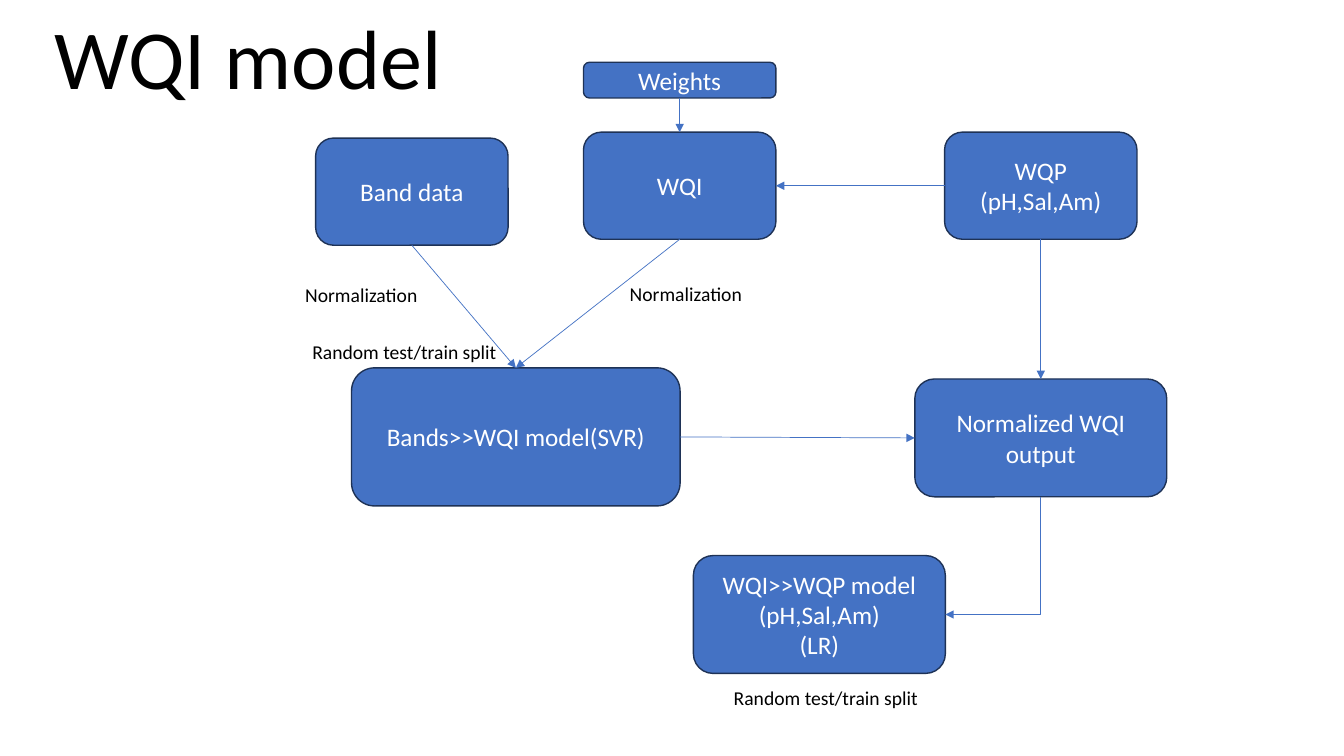
from dataclasses import dataclass

from lxml import etree
from pptx import Presentation
from pptx.dml.color import RGBColor
from pptx.enum.shapes import MSO_CONNECTOR as CONN, MSO_SHAPE as SHAPE
from pptx.enum.text import MSO_ANCHOR as ANCHOR, MSO_AUTO_SIZE as FIT, PP_ALIGN as ALIGN
from pptx.oxml.ns import qn
from pptx.util import Cm, Pt


@dataclass(frozen=True)
class Theme:
    font: str = "Calibri"
    accent: RGBColor = RGBColor(0x44, 0x72, 0xC4)
    outline: RGBColor = RGBColor(0x1E, 0x32, 0x56)
    light: RGBColor = RGBColor(0xFF, 0xFF, 0xFF)
    dark: RGBColor = RGBColor(0, 0, 0)
    title: Pt = Pt(60)
    node: Pt = Pt(18)
    label: Pt = Pt(14)


THEME = Theme()
TOP, LEFT, BOTTOM, RIGHT = range(4)
SMALL, WIDE = (4.85, 2.7), (6.35, 2.97)
WQI_X, WQP_X = 9.73, 18.83

NODES = {
    "bands": ("Band data", 2.98, 1.98, SMALL),
    "wqi": ("WQI", WQI_X, 1.83, SMALL),
    "wqp": ("WQP (pH,Sal,Am)", WQP_X, 1.83, SMALL),
    "output": ("Normalized WQI output", WQP_X, 8.05, WIDE),
    "svr": ("Bands>>WQI model(SVR)", 5.6, 7.77, (8.28, 3.48)),
    "lr": ("WQI>>WQP model (pH,Sal,Am)\n(LR)", 13.25, 12.5, WIDE),
    "weights": ("Weights", WQI_X, 0.07, (4.85, 0.9)),
}
ARROWS = [
    ("wqp", LEFT, "wqi", RIGHT),
    ("wqi", BOTTOM, "svr", TOP),
    ("bands", BOTTOM, "svr", TOP),
    ("svr", RIGHT, "output", LEFT),
    ("wqp", BOTTOM, "output", TOP),
    ("output", BOTTOM, "lr", RIGHT),
    ("weights", BOTTOM, "wqi", TOP),
]
LABELS = [
    ("Normalization", 8.22, 5.49, 3.38),
    ("Normalization", 0.04, 5.51, 3.38),
    ("Random test/train split", 0.22, 6.93, 5.23),
    ("Random test/train split", 10.84, 15.67, 5.23),
]


def write(tf, text, size, color, align):
    tf.text = text
    for p in tf.paragraphs:
        p.alignment = align
        p.font.name, p.font.size = THEME.font, size
        p.font.color.rgb = color


def add_title(slide, x, y, w, h):
    sp = slide.shapes.title
    sp.left, sp.top, sp.width, sp.height = Cm(x), Cm(y), Cm(w), Cm(h)
    tf = sp.text_frame
    write(tf, "WQI model", THEME.title, THEME.dark, ALIGN.LEFT)
    tf.auto_size = FIT.NONE
    tf.vertical_anchor = ANCHOR.BOTTOM
    tf.paragraphs[0].line_spacing = 0.9


def add_node(slide, text, center, top, size):
    w, h = size
    sp = slide.shapes.add_shape(SHAPE.ROUNDED_RECTANGLE, Cm(center - w / 2), Cm(top), Cm(w), Cm(h))
    sp.shadow.inherit = False
    sp.fill.solid()
    sp.fill.fore_color.rgb = THEME.accent
    sp.line.color.rgb = THEME.outline
    sp.line.width = Pt(1)
    sp.text_frame.vertical_anchor = ANCHOR.MIDDLE
    write(sp.text_frame, text, THEME.node, THEME.light, ALIGN.CENTER)
    return sp


def turn_corner(cxn):
    x, y, w, h = cxn.left, cxn.top, cxn.width, cxn.height
    cxn.left, cxn.top = x + (w - h) // 2, y + (h - w) // 2
    cxn.width, cxn.height = h, w
    xfrm = cxn.element.spPr.find(qn("a:xfrm"))
    xfrm.attrib.pop("flipH", None)
    xfrm.set("rot", str(90 * 60000))
    cxn.element.spPr.find(qn("a:prstGeom")).set("prst", "bentConnector2")


def add_arrow(slide, source, start, target, end):
    bent = (start, end) == (BOTTOM, RIGHT)
    kind = CONN.ELBOW if bent else CONN.STRAIGHT
    cxn = slide.shapes.add_connector(kind, 0, 0, 0, 0)
    cxn.begin_connect(source, start)
    cxn.end_connect(target, end)
    if bent:
        turn_corner(cxn)
    cxn.line.color.rgb = THEME.accent
    cxn.line.width = Pt(0.5)
    spPr = cxn.element.spPr
    etree.SubElement(spPr.find(qn("a:ln")), qn("a:tailEnd"), type="triangle")
    etree.SubElement(spPr, qn("a:effectLst"))


def add_label(slide, text, x, y, w):
    tf = slide.shapes.add_textbox(Cm(x), Cm(y), Cm(w), Cm(1.45)).text_frame
    tf.word_wrap = False
    tf.auto_size = FIT.SHAPE_TO_FIT_TEXT
    write(tf, text, THEME.label, THEME.dark, ALIGN.LEFT)


def add_flow(slide, x, y):
    nodes = {
        name: add_node(slide, text, x + center, y + top, size)
        for name, (text, center, top, size) in NODES.items()
    }
    for source, start, target, end in ARROWS:
        add_arrow(slide, nodes[source], start, nodes[target], end)
    for text, left, top, w in LABELS:
        add_label(slide, text, x + left, y + top, w)


def main():
    prs = Presentation()
    prs.slide_width, prs.slide_height = Cm(33.87), Cm(19.05)
    slide = prs.slides.add_slide(prs.slide_layouts[5])
    add_title(slide, 1.12, -0.84, 29.21, 3.68)
    add_flow(slide, 7.4, 1.5)
    prs.save("out.pptx")


if __name__ == "__main__":
    main()
